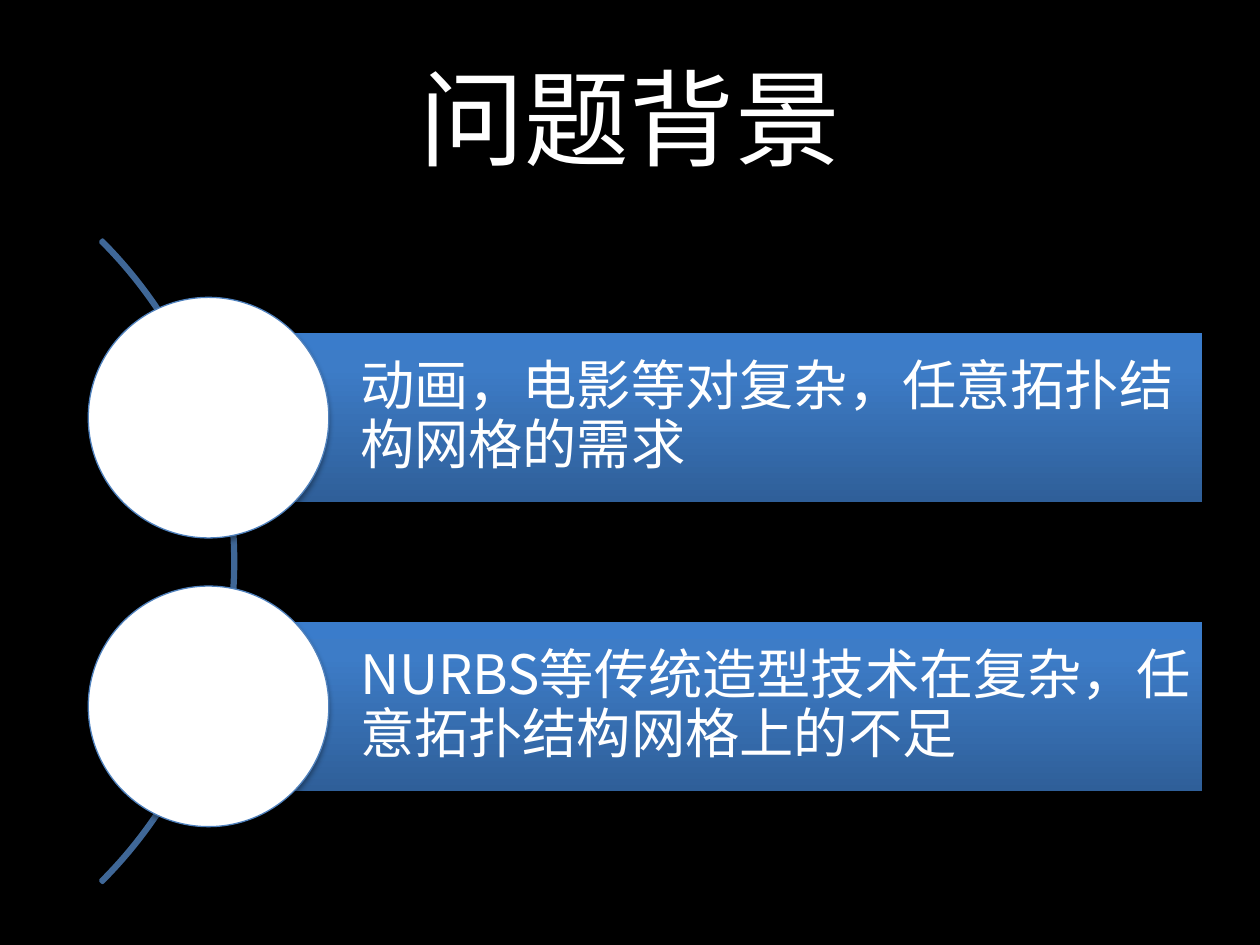
import dataclasses

import lxml.etree
import pptx
import pptx.dml.color
import pptx.enum.shapes
import pptx.enum.text
import pptx.oxml.ns
import pptx.util

Cm, Pt = pptx.util.Cm, pptx.util.Pt
RGB = pptx.dml.color.RGBColor.from_string
MSO_SHAPE = pptx.enum.shapes.MSO_SHAPE
qn = pptx.oxml.ns.qn


@dataclasses.dataclass(frozen=True)
class Theme:
    font: str = "Noto Sans CJK SC"
    background: str = "000000"
    light: str = "FFFFFF"
    arc: str = "3F6797"
    outline: str = "4F81BD"
    shadow: str = "000000"
    bar_stops: tuple = ((0, "2F5F99"), (80, "3D7CC7"), (100, "3A7CCB"))
    title_size: int = 60
    bar_size: int = 31


theme = Theme()


def write(frame, text, size, frame_format, paragraph_format):
    """Fill the frame with one paragraph in the theme font, Latin and East Asian."""
    for key, value in frame_format.items():
        setattr(frame, key, value)
    paragraph = frame.paragraphs[0]
    for key, value in paragraph_format.items():
        setattr(paragraph, key, value)
    run = paragraph.add_run()
    run.text = text
    run.font.name = theme.font
    run.font.size = Pt(size)
    run.font.color.rgb = RGB(theme.light)
    east_asian = lxml.etree.Element(qn("a:ea"), typeface=theme.font)
    run.font._element.find(qn("a:latin")).addnext(east_asian)


def add_shadow(shape):
    effects = lxml.etree.SubElement(shape._element.spPr, qn("a:effectLst"))
    outer = lxml.etree.SubElement(
        effects, qn("a:outerShdw"), blurRad=str(Pt(3.1)), dist=str(Pt(1.8)),
        dir="5400000", rotWithShape="0")
    color = lxml.etree.SubElement(outer, qn("a:srgbClr"), val=theme.shadow)
    lxml.etree.SubElement(color, qn("a:alpha"), val="35000")


presentation = pptx.Presentation()
presentation.slide_width = Cm(25.4)
presentation.slide_height = Cm(19.05)
slide = presentation.slides.add_slide(presentation.slide_layouts[5])
slide.background.fill.solid()
slide.background.fill.fore_color.rgb = RGB(theme.background)

middle = pptx.enum.text.MSO_ANCHOR.MIDDLE
title = slide.shapes.title
title.left, title.top, title.width, title.height = Cm(1.27), Cm(0.76), Cm(22.86), Cm(3.18)
write(title.text_frame, "问题背景", theme.title_size,
      {"vertical_anchor": middle, "word_wrap": True},
      {"alignment": pptx.enum.text.PP_ALIGN.CENTER})

# Arc running behind the circles
arc = slide.shapes.add_shape(
    MSO_SHAPE.BLOCK_ARC, Cm(-13.56), Cm(2.16), Cm(18.31), Cm(18.31))
for index, value in enumerate((189, 27, 0.003)):
    arc.adjustments[index] = value
arc.fill.background()
arc.line.color.rgb = RGB(theme.arc)
arc.line.width = Pt(2)
arc.shadow.inherit = False

# One bar and one circle per point, sharing a centre line
points = (
    "动画，电影等对复杂，任意拓扑结构网格的需求",
    "NURBS等传统造型技术在复杂，任意拓扑结构网格上的不足",
)
first_center, pitch = 8.42, 5.82
circle_left, diameter = 1.78, 4.85
bar_left, bar_width, bar_height = 4.19, 20.04, 3.4
bar_frame = {
    "vertical_anchor": middle, "word_wrap": True,
    "margin_left": Cm(3.07), "margin_right": Cm(0.23),
    "margin_top": Cm(0.23), "margin_bottom": Cm(0.23),
}
bar_paragraph = {"alignment": pptx.enum.text.PP_ALIGN.LEFT, "line_spacing": 0.9}

for row, point in enumerate(points):
    center = first_center + row * pitch

    bar = slide.shapes.add_shape(
        MSO_SHAPE.RECTANGLE, Cm(bar_left), Cm(center - bar_height / 2),
        Cm(bar_width), Cm(bar_height))
    bar.fill.gradient()
    bar.fill.gradient_angle = 90
    stops = bar._element.spPr.find(qn("a:gradFill")).find(qn("a:gsLst"))
    stops.clear()
    for position, color in theme.bar_stops:
        stop = lxml.etree.SubElement(stops, qn("a:gs"), pos=str(position * 1000))
        lxml.etree.SubElement(stop, qn("a:srgbClr"), val=color)
    bar.line.fill.background()
    add_shadow(bar)
    write(bar.text_frame, point, theme.bar_size, bar_frame, bar_paragraph)

    circle = slide.shapes.add_shape(
        MSO_SHAPE.OVAL, Cm(circle_left), Cm(center - diameter / 2),
        Cm(diameter), Cm(diameter))
    circle.fill.solid()
    circle.fill.fore_color.rgb = RGB(theme.light)
    circle.line.color.rgb = RGB(theme.outline)
    circle.line.width = Pt(0.75)
    add_shadow(circle)

presentation.save("out.pptx")
